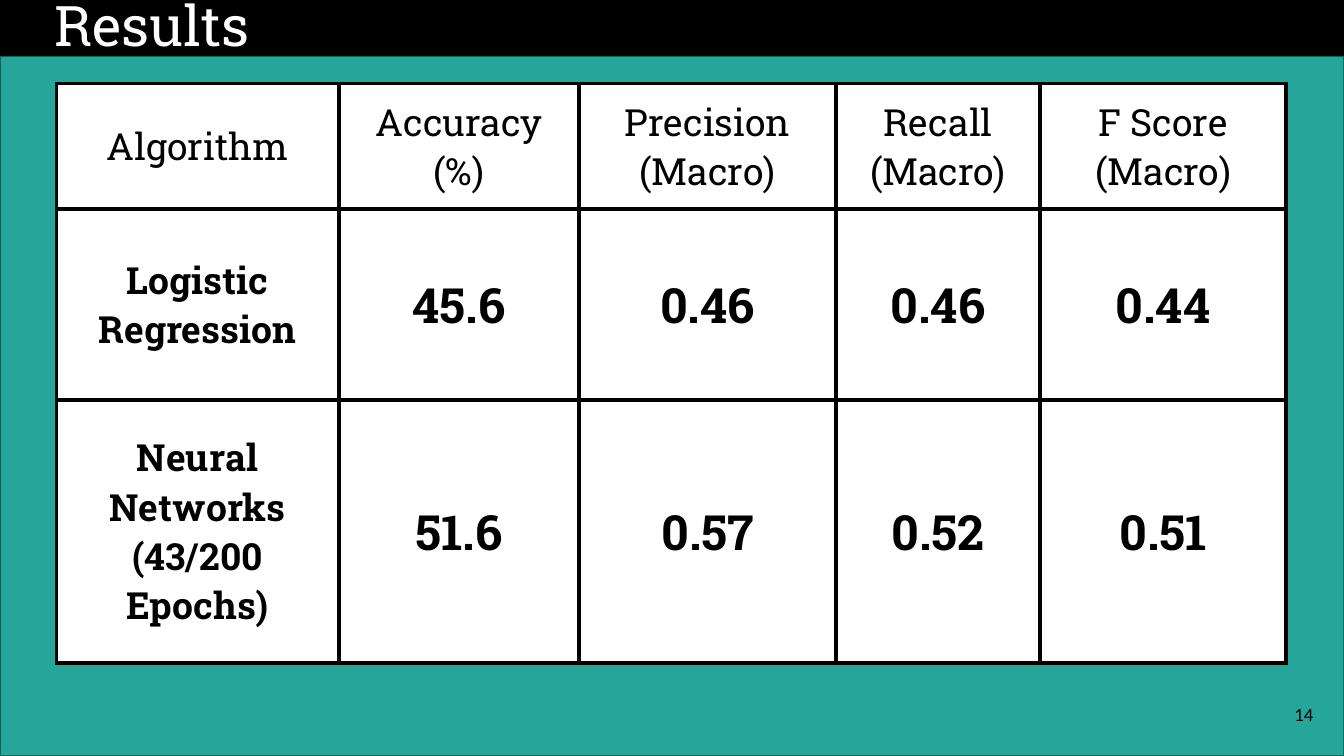
import pptx
import pptx.util
import pptx.dml.color
import pptx.enum.shapes
import pptx.enum.text
from lxml import etree

Inches, Pt = pptx.util.Inches, pptx.util.Pt
ALIGN, ANCHOR = pptx.enum.text.PP_ALIGN, pptx.enum.text.MSO_ANCHOR

TITLE = "Results"
PAGE = "14"
ROWS = [
    ["Algorithm", "Accuracy (%)", "Precision (Macro)", "Recall (Macro)", "F Score (Macro)"],
    ["Logistic Regression", "45.6", "0.46", "0.46", "0.44"],
    ["Neural Networks (43/200 Epochs)", "51.6", "0.57", "0.52", "0.51"],
]
COL_WIDTHS = [2.1, 1.79, 1.91, 1.52, 1.83]
ROW_HEIGHTS = [0.91, 1.42, 1.96]
BLACK, WHITE, TEAL, DARK_TEAL = "000000", "FFFFFF", "26A69A", "00695C"
SLAB = "Roboto Slab"


def color(value):
    return pptx.dml.color.RGBColor.from_string(value)


def paint(fill, value):
    fill.solid()
    fill.fore_color.rgb = color(value)


def write(tf, text, size=20, font=SLAB, fill=BLACK, bold=False, align=ALIGN.CENTER):
    p = tf.paragraphs[0]
    p.alignment = align
    r = p.add_run()
    r.text = text
    r.font.name, r.font.size, r.font.bold = font, Pt(size), bold
    r.font.color.rgb = color(fill)


def add_text(s, box, text, anchor, **fmt):
    tf = s.shapes.add_textbox(*map(Inches, box)).text_frame
    tf.word_wrap = True
    tf.vertical_anchor = anchor
    tf.margin_left = tf.margin_right = tf.margin_top = tf.margin_bottom = Inches(0.1)
    write(tf, text, **fmt)


def add_borders(cell, value, width):
    pr = cell._tc.get_or_add_tcPr()
    ns = pptx.oxml.ns.qn
    for i, side in enumerate(("lnL", "lnR", "lnT", "lnB")):
        ln = etree.Element(ns("a:" + side), w=str(Pt(width)))
        fill = etree.SubElement(ln, ns("a:solidFill"))
        etree.SubElement(fill, ns("a:srgbClr"), val=value)
        pr.insert(i, ln)


def add_results(s, left, top):
    frame = s.shapes.add_table(len(ROWS), len(COL_WIDTHS), Inches(left), Inches(top),
                               Inches(sum(COL_WIDTHS)), Inches(sum(ROW_HEIGHTS)))
    table = frame.table
    for col, width in zip(table.columns, COL_WIDTHS):
        col.width = Inches(width)
    for row, height in zip(table.rows, ROW_HEIGHTS):
        row.height = Inches(height)
    for i, values in enumerate(ROWS):
        for j, text in enumerate(values):
            cell = table.cell(i, j)
            cell.vertical_anchor = ANCHOR.MIDDLE
            cell.margin_left = cell.margin_right = Inches(0.1)
            cell.margin_top = cell.margin_bottom = Inches(0.1)
            paint(cell.fill, WHITE)
            add_borders(cell, BLACK, 2.25)
            write(cell.text_frame, text, size=26 if i and j else 20, bold=i > 0)


def main():
    prs = pptx.Presentation()
    prs.slide_width = Inches(10)
    prs.slide_height = prs.slide_width * 9 // 16
    s = prs.slides.add_slide(prs.slide_layouts[6])
    paint(s.background.fill, BLACK)

    sp = s.shapes.add_shape(pptx.enum.shapes.MSO_SHAPE.RECTANGLE,
                            *map(Inches, (0, 0.42, 10, 5.2)))
    sp.shadow.inherit = False
    paint(sp.fill, TEAL)
    sp.line.color.rgb = color(DARK_TEAL)
    sp.line.width = Pt(0.75)

    add_results(s, 0.42, 0.62)
    add_text(s, (9.27, 5.1, 0.6, 0.43), PAGE, ANCHOR.MIDDLE,
             size=10, font="Calibri", align=ALIGN.RIGHT)
    add_text(s, (0.31, 0, 6.2, 0.53), TITLE, ANCHOR.BOTTOM,
             size=30, fill=WHITE, align=ALIGN.LEFT)
    prs.save("out.pptx")


if __name__ == "__main__":
    main()
